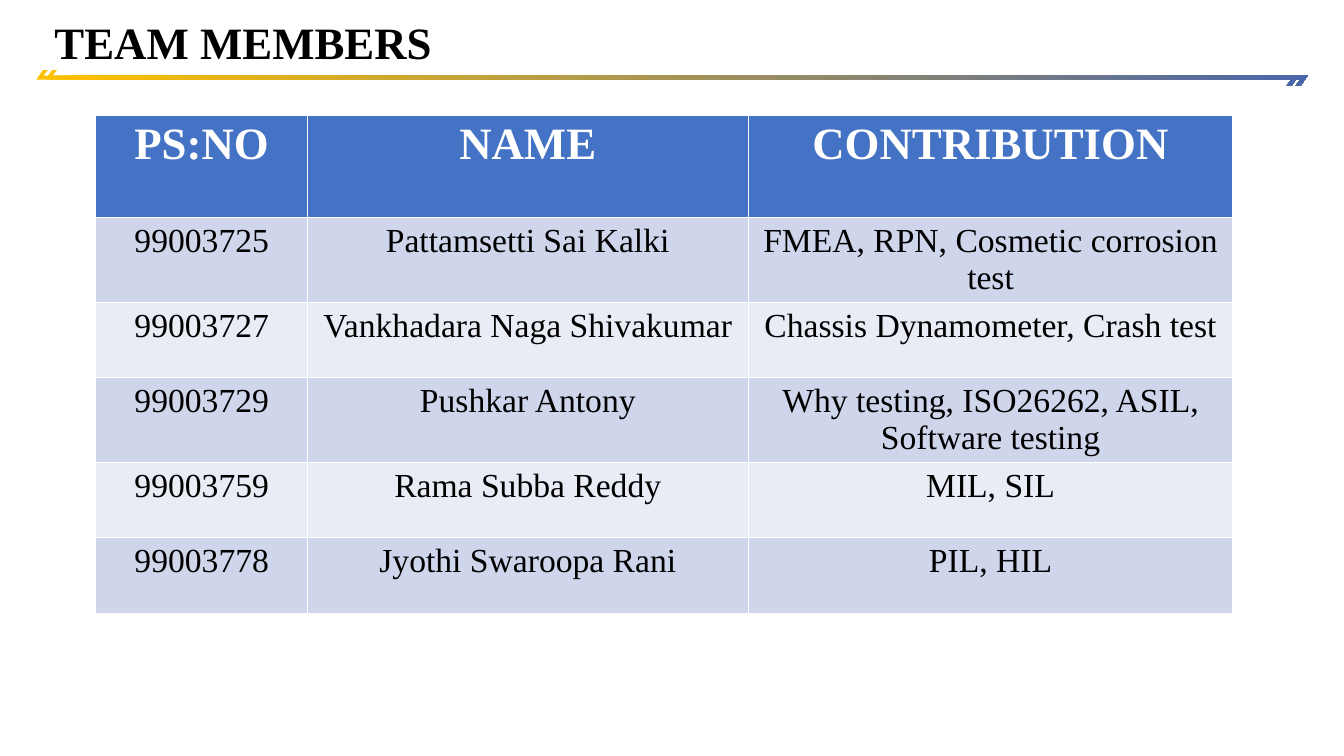
from pptx import Presentation
from pptx.dml.color import RGBColor
from pptx.enum.text import MSO_ANCHOR, MSO_AUTO_SIZE, PP_ALIGN
from pptx.util import Inches, Pt

LEFT, CENTER = PP_ALIGN.LEFT, PP_ALIGN.CENTER
BOTTOM = MSO_ANCHOR.BOTTOM
NO_AUTOFIT = MSO_AUTO_SIZE.NONE

FONT = "Times New Roman"
COLORS = {
    "text": "000000",
    "header_text": "FFFFFF",
    "header": "4472C4",
    "odd_row": "CFD5EA",
    "even_row": "E9EBF5",
    "rule_start": "FFC000",
    "rule_end": "4A66AC",
}

COLUMN_WIDTHS = [2.1, 4.37, 4.81]
HEADER_HEIGHT, ROW_HEIGHT = 1.02, 0.75
MEMBERS = [
    ("PS:NO", "NAME", "CONTRIBUTION"),
    ("99003725", "Pattamsetti Sai Kalki", "FMEA, RPN, Cosmetic corrosion test"),
    ("99003727", "Vankhadara Naga Shivakumar", "Chassis Dynamometer, Crash test"),
    ("99003729", "Pushkar Antony", "Why testing, ISO26262, ASIL, Software testing"),
    ("99003759", "Rama Subba Reddy", "MIL, SIL"),
    ("99003778", "Jyothi Swaroopa Rani", "PIL, HIL"),
]

# Half of the rule's outline, from its top left corner; the other half is
# the same turned about the centre.
RULE_WIDTH, RULE_HEIGHT = 12.52, 0.16
HALF_OUTLINE = [(0.07, 0), (0.12, 0), (0.07, 0.06), (12.48, 0.06), (12.52, 0.06)]


def color(name):
    return RGBColor.from_string(COLORS[name])


def style_para(para, size, color_name, bold, align):
    para.alignment = align
    para.font.name = FONT
    para.font.size = Pt(size)
    para.font.bold = bold
    para.font.color.rgb = color(color_name)


def add_rule(page, left, top):
    """Draw a thin gradient bar with a slanted tick at each end."""
    turned = [(RULE_WIDTH - x, RULE_HEIGHT - y) for x, y in HALF_OUTLINE]
    points = [(Inches(left + x), Inches(top + y)) for x, y in HALF_OUTLINE + turned]
    builder = page.shapes.build_freeform(*points[0])
    builder.add_line_segments(points[1:], close=True)
    rule = builder.convert_to_shape()
    rule.shadow.inherit = False
    rule.line.fill.background()
    rule.fill.gradient()
    rule.fill.gradient_angle = 0
    for stop, name, position in zip(
        rule.fill.gradient_stops, ("rule_start", "rule_end"), (0, 1)
    ):
        stop.color.rgb = color(name)
        stop.position = position


def set_title(page, text):
    title = page.shapes.title
    title.left, title.top = Inches(0.44), Inches(0)
    title.width, title.height = Inches(12.44), Inches(0.74)
    frame = title.text_frame
    frame.text = text
    frame.word_wrap = True
    frame.auto_size = NO_AUTOFIT
    frame.vertical_anchor = BOTTOM
    para = frame.paragraphs[0]
    para.line_spacing = 0.9
    style_para(para, 32, "text", True, LEFT)


def fill_cell(cell, text, row):
    cell.text = text
    cell.fill.solid()
    para = cell.text_frame.paragraphs[0]
    if row == 0:
        cell.fill.fore_color.rgb = color("header")
        style_para(para, 32, "header_text", True, CENTER)
    else:
        cell.fill.fore_color.rgb = color("odd_row" if row % 2 else "even_row")
        style_para(para, 24, "text", False, CENTER)


def add_member_table(page, left, top):
    heights = [HEADER_HEIGHT] + [ROW_HEIGHT] * (len(MEMBERS) - 1)
    table = page.shapes.add_table(
        len(MEMBERS), len(COLUMN_WIDTHS), Inches(left), Inches(top),
        Inches(sum(COLUMN_WIDTHS)), Inches(sum(heights)),
    ).table
    for column, width in zip(table.columns, COLUMN_WIDTHS):
        column.width = Inches(width)
    for row, height in zip(table.rows, heights):
        row.height = Inches(height)
    for row, texts in enumerate(MEMBERS):
        for column, text in enumerate(texts):
            fill_cell(table.cell(row, column), text, row)


def main():
    deck = Presentation()
    deck.slide_width, deck.slide_height = Inches(13.33), Inches(7.5)
    page = deck.slides.add_slide(deck.slide_layouts[5])
    for left in (0.36, 0.45):
        add_rule(page, left, 0.69)
    set_title(page, "TEAM MEMBERS")
    add_member_table(page, 0.95, 1.14)
    deck.save("out.pptx")


if __name__ == "__main__":
    main()
